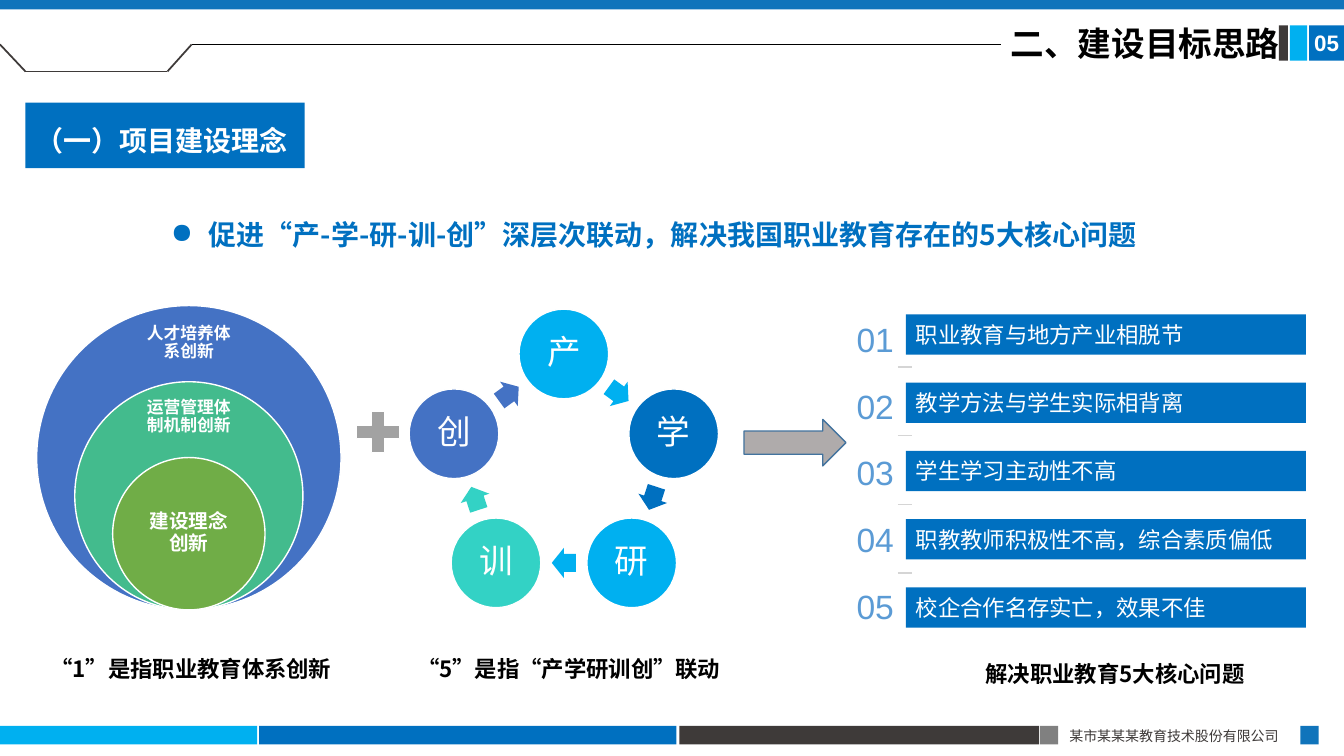
import math

import lxml.etree
import pptx
import pptx.dml.color
import pptx.enum.shapes
import pptx.enum.text
import pptx.oxml.ns
import pptx.util

Cm = pptx.util.Cm
Pt = pptx.util.Pt
rgb = pptx.dml.color.RGBColor.from_string
qn = pptx.oxml.ns.qn
SHAPE = pptx.enum.shapes.MSO_SHAPE
ALIGN = pptx.enum.text.PP_ALIGN
ANCHOR = pptx.enum.text.MSO_ANCHOR

CJK = "Noto Sans CJK SC"
BLUE, SKY, INDIGO = "0070C0", "00B0F0", "4472C4"
DARK, WHITE, BLACK = "3E3A39", "FFFFFF", "000000"

deck = pptx.Presentation()
deck.slide_width, deck.slide_height = Cm(33.87), Cm(19.05)
slide = deck.slides.add_slide(deck.slide_layouts[5])
shapes = slide.shapes


def add_block(kind, x, y, w, h, fill, line=None, width=1):
    block = shapes.add_shape(kind, Cm(x), Cm(y), Cm(w), Cm(h))
    block.shadow.inherit = False
    block.fill.solid()
    block.fill.fore_color.rgb = rgb(fill)
    if line:
        block.line.color.rgb = rgb(line)
        block.line.width = Pt(width)
    else:
        block.line.fill.background()
    return block


def write(text, shape=None, box=None, size=16, color=WHITE, bold=False, font=CJK,
          align=ALIGN.LEFT, anchor=ANCHOR.MIDDLE, spacing=1.0, inset=(0.25, 0.13), bullet=None):
    """Write one paragraph into shape, or into a new text box at box (cm)."""
    if shape is None:
        shape = shapes.add_textbox(*map(Cm, box))
    frame = shape.text_frame
    frame.word_wrap = True
    frame.auto_size = pptx.enum.text.MSO_AUTO_SIZE.NONE
    frame.vertical_anchor = anchor
    frame.margin_left = frame.margin_right = Cm(inset[0])
    frame.margin_top = frame.margin_bottom = Cm(inset[1])
    paragraph = frame.paragraphs[0]
    paragraph.alignment = align
    paragraph.line_spacing = spacing
    if bullet:
        properties = paragraph._p.get_or_add_pPr()
        properties.set("marL", str(Cm(0.95)))
        properties.set("indent", str(-Cm(0.95)))
        lxml.etree.SubElement(properties, qn("a:buChar")).set("char", bullet)
    run = paragraph.add_run()
    run.text = text
    run.font.size = Pt(size)
    run.font.bold = bold
    run.font.name = font
    run.font.color.rgb = rgb(color)
    run_properties = run._r.get_or_add_rPr()
    run_properties.set("lang", "zh-CN")
    lxml.etree.SubElement(run_properties, qn("a:ea")).set("typeface", CJK)


# Title
title = shapes.title
title.left, title.top, title.width, title.height = Cm(25.22), Cm(0.51), Cm(7.49), Cm(1.27)
write("二、建设目标思路", title, size=24, color=BLACK, bold=True, spacing=0.9)

# Top band and page number
add_block(SHAPE.RECTANGLE, 0, 0, 33.87, 0.24, "1074BB")
for x, w, fill in [(32.23, 0.23, DARK), (32.51, 0.43, SKY), (32.99, 0.88, BLUE)]:
    badge = add_block(SHAPE.RECTANGLE, x, 0.64, w, 0.89, fill)
write("05", badge, bold=True, font="Arial", align=ALIGN.CENTER, inset=(0, 0))

# Footer
for x, w, fill in [(0, 6.48, SKY), (6.53, 10.52, BLUE), (17.12, 9.07, DARK),
                   (26.21, 0.46, "808080"), (32.77, 0.46, "1074BB")]:
    add_block(SHAPE.RECTANGLE, x, 18.29, w, 0.47, fill)
write("某市某某某教育技术股份有限公司", box=(26.7, 18.19, 6.1, 0.69), size=10, color=DARK)

# Tab outline under the top band, and the rules between the problems
strokes = [
    (0, 1.12, 0.64, 1.8, DARK, 1.25),
    (0.64, 1.8, 4.22, 1.8, DARK, 1.25),
    (4.22, 1.8, 4.83, 1.12, DARK, 1.25),
    (4.83, 1.12, 25.22, 1.12, BLACK, 0.5),
]
for i in range(4):
    rule_y = 9.25 + 1.73 * i
    strokes.append((22.63, rule_y, 22.99, rule_y, "D5D5D5", 1))
for x1, y1, x2, y2, color, width in strokes:
    stroke = shapes.add_connector(pptx.enum.shapes.MSO_CONNECTOR.STRAIGHT,
                                  Cm(x1), Cm(y1), Cm(x2), Cm(y2))
    stroke.line.color.rgb = rgb(color)
    stroke.line.width = Pt(width)
    lxml.etree.SubElement(stroke._element.spPr, qn("a:effectLst"))

# Section heading and key message
section = add_block(SHAPE.RECTANGLE, 0.64, 2.59, 7.04, 1.65, BLUE)
write("（一）项目建设理念", section, size=20, bold=True, font="Calibri", spacing=1.3)
write("促进“产-学-研-训-创”深层次联动，解决我国职业教育存在的5大核心问题",
      box=(4.06, 5.36, 25.12, 1.12), size=20, color=BLUE, bold=True,
      anchor=ANCHOR.TOP, spacing=Pt(24), bullet="●")

# Nested innovation circles, all resting on one bottom point
innovations = [
    ("人才培养体系创新", 7.67, INDIGO, 8.08, 1.14, 12),
    ("运营管理体制机制创新", 5.75, "43BB8D", 9.96, 1.09, 12),
    ("建设理念创新", 3.84, "70AD47", 12.47, 1.93, 14),
]
for label, diameter, fill, label_y, label_h, size in innovations:
    add_block(SHAPE.OVAL, 4.76 - diameter / 2, 15.37 - diameter, diameter, diameter, fill, WHITE)
    write(label, box=(3.41, label_y, 2.7, label_h), size=size, bold=True,
          align=ALIGN.CENTER, spacing=0.9, inset=(0.23, 0.23))

add_block(SHAPE.MATH_PLUS, 8.79, 10.19, 1.47, 1.4, "A2A2A2", WHITE, 0.75)

# Five-step cycle: circles on a ring, arrows halfway between them
ring_x, ring_y, ring_radius, step_size = 14.21, 11.83, 2.91, 2.26
arrow_radius = ring_radius * math.cos(math.radians(36))
arrow_w, arrow_h = 0.61, 0.76
steps = [("产", SKY), ("学", BLUE), ("研", SKY), ("训", "33D2C5"), ("创", INDIGO)]
for i, (label, fill) in enumerate(steps):
    angle = math.radians(72 * i)
    step = add_block(SHAPE.OVAL, ring_x + ring_radius * math.sin(angle) - step_size / 2,
                     ring_y - ring_radius * math.cos(angle) - step_size / 2,
                     step_size, step_size, fill, WHITE)
    write(label, step, size=24, align=ALIGN.CENTER, spacing=0.9, inset=(0.08, 0.08))
    angle += math.radians(36)
    arrow = add_block(SHAPE.RIGHT_ARROW, ring_x + arrow_radius * math.sin(angle) - arrow_w / 2,
                      ring_y - arrow_radius * math.cos(angle) - arrow_h / 2,
                      arrow_w, arrow_h, fill)
    arrow.adjustments[0] = 0.6
    arrow.rotation = 36 + 72 * i

add_block(SHAPE.RIGHT_ARROW, 18.75, 10.57, 2.57, 1.17, "AFABAB", "43739E")

# Core problems
problems = ["职业教育与地方产业相脱节", "教学方法与学生实际相背离", "学生学习主动性不高",
            "职教教师积极性不高，综合素质偏低", "校企合作名存实亡，效果不佳"]
for i, problem in enumerate(problems):
    write(f"{i + 1:02}", box=(21.31, 7.7 + 1.68 * i, 1.47, 1.18), size=24, color="5B9BD5",
          font="Arial", align=ALIGN.RIGHT, anchor=ANCHOR.TOP, spacing=1.2)
    bar = add_block(SHAPE.RECTANGLE, 22.83, 7.92 + 1.72 * i, 10.08, 1.02, BLUE)
    write(problem, bar)

# Captions
for caption, x, y, w in [("“1”是指职业教育体系创新", 1.02, 16.38, 8.51),
                         ("“5”是指“产学研训创”联动", 10.26, 16.38, 8.28),
                         ("解决职业教育5大核心问题", 24.59, 16.51, 7.14)]:
    write(caption, box=(x, y, w, 0.94), color=BLACK, bold=True, anchor=ANCHOR.TOP)

deck.save("out.pptx")
